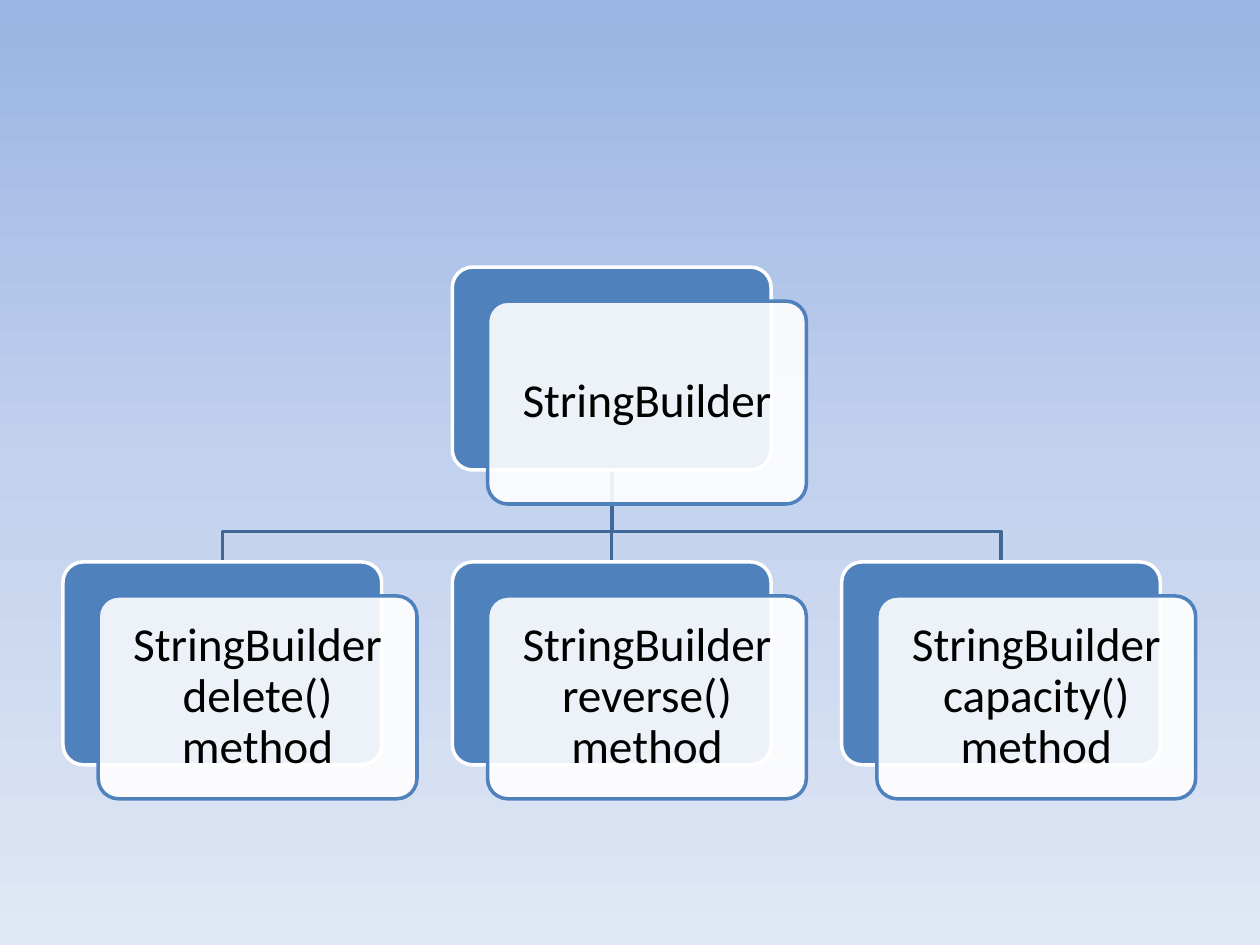
from copy import deepcopy
from lxml.etree import SubElement as Sub
from pptx import Presentation
from pptx.dml.color import RGBColor as RGB
from pptx.enum.shapes import MSO_CONNECTOR as Link, MSO_SHAPE as Kind
from pptx.enum.text import MSO_ANCHOR as Anchor, PP_ALIGN as Align
from pptx.oxml.ns import qn
from pptx.util import Inches as In, Pt

ROOT = "StringBuilder"
KIDS = ["StringBuilder delete() method", "StringBuilder reverse() method",
        "StringBuilder capacity() method"]
THEME = {
    "sky": [(0, "9AB5E4"), (0.5, "C2D1ED"), (1, "E1E8F5")],
    "blue": "4F81BD", "line": "3F6797", "white": "FFFFFF", "ink": "000000",
    "font": "Calibri", "size": 27, "width": 2, "alpha": 90,
}
LEFT, STEP = 0.5, 3.09
WIDE, HIGH = 2.53, 1.61
TOP, LOW, BEND = 2.12, 4.46, 4.22
SHIFT, DROP, INSET = 0.28, 0.27, 0.11

deck = Presentation()
deck.slide_width, deck.slide_height = In(10), In(7.5)
slide = deck.slides.add_slide(deck.slide_layouts[6])
shapes = slide.shapes


def tint(name):
    return RGB.from_string(THEME[name])


def paint_sky():
    fill = slide.background.fill
    fill.gradient()
    fill.gradient_angle = 270
    stops = slide.element.find(".//" + qn("a:gsLst"))
    stops.append(deepcopy(stops[0]))
    for stop, (place, code) in zip(fill.gradient_stops, THEME["sky"]):
        stop.position = place
        stop.color.rgb = RGB.from_string(code)


def edge(part, name):
    part.line.color.rgb = tint(name)
    part.line.width = Pt(THEME["width"])


def card(x, y, fill, line):
    box = shapes.add_shape(Kind.ROUNDED_RECTANGLE, In(x), In(y), In(WIDE), In(HIGH))
    box.adjustments[0] = 0.1
    box.shadow.inherit = False
    box.fill.solid()
    box.fill.fore_color.rgb = tint(fill)
    edge(box, line)
    return box


def node(x, y, words):
    card(x, y, "blue", "white")
    front = card(x + SHIFT, y + DROP, "white", "blue")
    shade = front.fill._xPr.find(".//" + qn("a:srgbClr"))
    Sub(shade, qn("a:alpha")).set("val", str(THEME["alpha"] * 1000))
    frame = front.text_frame
    frame.word_wrap = True
    frame.vertical_anchor = Anchor.MIDDLE
    frame.margin_left = frame.margin_right = In(INSET)
    frame.margin_top = frame.margin_bottom = In(INSET)
    para = frame.paragraphs[0]
    para.alignment = Align.CENTER
    para.line_spacing = 0.9
    run = para.add_run()
    run.text = words
    run.font.name, run.font.size = THEME["font"], Pt(THEME["size"])
    run.font.color.rgb = tint("ink")


def branch(start, end):
    if start == end:
        wire = shapes.add_connector(Link.STRAIGHT, In(start), In(TOP + HIGH), In(end), In(LOW))
        Sub(wire.element.spPr, qn("a:effectLst"))
    else:
        pen = shapes.build_freeform(In(start), In(TOP + HIGH))
        turns = [(start, BEND), (end, BEND), (end, LOW)]
        pen.add_line_segments([(In(x), In(y)) for x, y in turns], close=False)
        wire = pen.convert_to_shape()
        wire.shadow.inherit = False
        wire.fill.background()
    edge(wire, "line")


paint_sky()
spots = [LEFT + i * STEP for i in range(len(KIDS))]
mid = spots[len(KIDS) // 2]
for x in reversed(spots):
    branch(mid + WIDE / 2, x + WIDE / 2)
node(mid, TOP, ROOT)
for x, words in zip(spots, KIDS):
    node(x, LOW, words)

deck.save("out.pptx")
